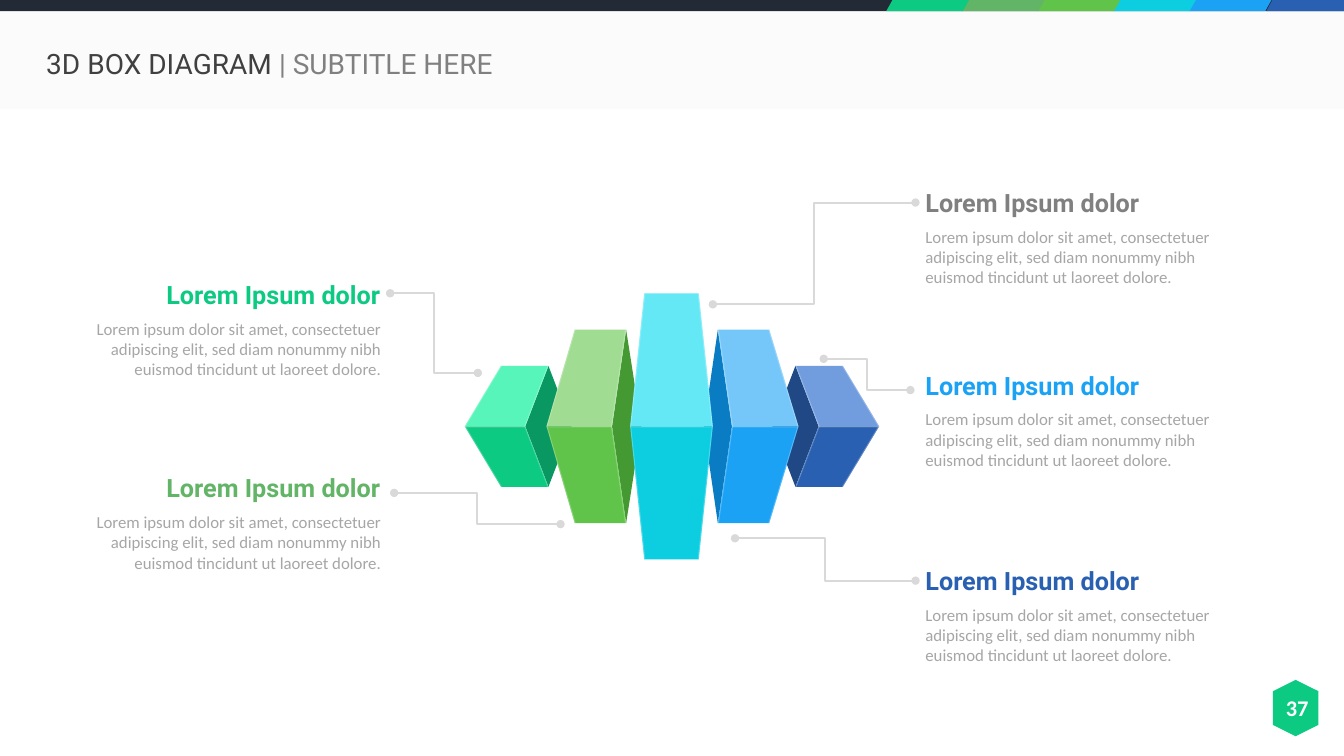
from dataclasses import dataclass

from lxml import etree
from pptx import Presentation
from pptx import util as u
from pptx.dml import color
from pptx.enum import shapes, text
from pptx.oxml import ns

BODY = ("Lorem ipsum dolor sit amet, consectetuer adipiscing elit, "
        "sed diam nonummy nibh euismod tincidunt ut laoreet dolore.")
HORIZON = 4.23
GLINT = 0.01
STRIPE_STEP = 0.75

Point = tuple[float, float]


@dataclass
class Box:
    outer: float
    inner: float
    back_outer: float
    back_inner: float
    rise: float
    top: str
    front: str
    side: str = ""
    far: float = 0


@dataclass
class Callout:
    top: float
    title_color: str
    on_left: bool
    label_end: Point
    box_end: Point


BOXES = [
    Box(4.61, 5.21, 4.97, 5.44, 0.6, "57F5B9", "0CCA82", "099862", 5.67),
    Box(5.42, 6.07, 5.7, 6.21, 0.96, "A0DC92", "61C44A", "459932", 6.36),
    Box(8.72, 8.12, 8.36, 7.89, 0.6, "719DDE", "2960B1", "1F4885", 7.66),
    Box(7.92, 7.26, 7.63, 7.12, 0.96, "76C7F9", "1BA2F5", "097CC3", 6.98),
    Box(6.25, 7.07, 6.39, 6.93, 1.32, "65E8F6", "0DCDE1"),
]

CALLOUTS = [
    Callout(2.72, "0CCA82", True, (3.87, 2.91), (4.74, 3.7)),
    Callout(4.64, "62B466", True, (3.91, 4.89), (5.56, 5.2)),
    Callout(1.81, "808080", False, (9.08, 2.01), (7.07, 3.02)),
    Callout(5.56, "2960B1", False, (9.08, 5.76), (7.29, 5.34)),
    Callout(3.62, "1BA2F5", False, (9.03, 3.87), (8.17, 3.56)),
]

STRIPES = ["0CCA82", "62B466", "61C44A", "0DCDE1", "1BA2F5"]


def rgb(value: str) -> color.RGBColor:
    return color.RGBColor.from_string(value)


def paint(shape, fill: str, opacity: int = 100) -> None:
    shape.shadow.inherit = False
    shape.fill.solid()
    shape.fill.fore_color.rgb = rgb(fill)
    shape.line.fill.background()
    if opacity < 100:
        tone = shape._element.spPr.find(".//" + ns.qn("a:srgbClr"))
        etree.SubElement(tone, ns.qn("a:alpha")).set("val", str(opacity * 1000))


def add_preset(slide, kind, left: float, top: float, width: float, height: float,
               fill: str, opacity: int = 100):
    shape = slide.shapes.add_shape(kind, *map(u.Inches, (left, top, width, height)))
    paint(shape, fill, opacity)
    return shape


def add_polygon(slide, points: list[Point], fill: str, opacity: int = 100) -> None:
    corners = [(u.Inches(x), u.Inches(y)) for x, y in points]
    builder = slide.shapes.build_freeform(*corners[0])
    builder.add_line_segments(corners[1:], close=True)
    paint(builder.convert_to_shape(), fill, opacity)


def add_text(slide, runs: list[tuple[str, str]], left: float, top: float,
             width: float, height: float, *, size: float, font: str = "Roboto",
             bold: bool = False, align=text.PP_ALIGN.LEFT,
             anchor=text.MSO_ANCHOR.TOP, spacing: float = 1.0) -> None:
    frame = slide.shapes.add_textbox(*map(u.Inches, (left, top, width, height))).text_frame
    frame.word_wrap = True
    frame.vertical_anchor = anchor
    paragraph = frame.paragraphs[0]
    paragraph.alignment = align
    paragraph.line_spacing = spacing
    for words, tone in runs:
        run = paragraph.add_run()
        run.text = words
        run.font.name = font
        run.font.size = u.Pt(size)
        run.font.bold = bold
        run.font.color.rgb = rgb(tone)


def add_leader(slide, start: Point, end: Point) -> None:
    leader = slide.shapes.add_connector(
        shapes.MSO_CONNECTOR.ELBOW, *map(u.Inches, (*start, *end)))
    leader.line.color.rgb = rgb("D9D9D9")
    leader.line.width = u.Pt(1.5)
    outline = leader.line._get_or_add_ln()
    for tip in ("a:headEnd", "a:tailEnd"):
        etree.SubElement(outline, ns.qn(tip)).set("type", "oval")
    etree.SubElement(leader._element.spPr, ns.qn("a:effectLst"))


def add_box(slide, box: Box) -> None:
    ceiling, floor = HORIZON - box.rise, HORIZON + box.rise
    if box.side:
        add_polygon(slide, [(box.inner, HORIZON), (box.back_inner, ceiling),
                            (box.far, HORIZON), (box.back_inner, floor)], box.side)
    for level, fill in ((ceiling, box.top), (floor, box.front)):
        add_polygon(slide, [(box.inner, HORIZON), (box.back_inner, level),
                            (box.back_outer, level), (box.outer, HORIZON)], fill)
    add_polygon(slide, [(box.outer, HORIZON), (box.inner, HORIZON),
                        (box.inner, HORIZON + GLINT), (box.outer, HORIZON + GLINT)],
                "FFFFFF", 25)
    inward = GLINT if box.inner > box.outer else -GLINT
    for edge, back, shift in ((box.outer, box.back_outer, inward),
                              (box.inner, box.back_inner, -inward)):
        add_polygon(slide, [(edge, HORIZON), (back, ceiling), (back + shift, ceiling),
                            (edge + shift, HORIZON), (back + shift, floor),
                            (back, floor)], "FFFFFF", 25)


def add_callout(slide, callout: Callout) -> None:
    title_left, body_left = (0.55, 0.71) if callout.on_left else (9.08, 9.08)
    align = text.PP_ALIGN.RIGHT if callout.on_left else text.PP_ALIGN.LEFT
    add_text(slide, [(BODY, "A6A6A6")], body_left, callout.top + 0.39, 3.17, 0.71,
             size=12, font="Calibri", align=align)
    add_text(slide, [("Lorem Ipsum dolor", callout.title_color)], title_left,
             callout.top, 3.32, 0.4, size=18, bold=True, align=align)
    add_leader(slide, callout.box_end, callout.label_end)


def add_frame(slide) -> None:
    preset = shapes.MSO_SHAPE
    add_preset(slide, preset.RECTANGLE, 0, 0.11, 13.33, 0.97, "F2F2F2", 29)
    add_preset(slide, preset.RECTANGLE, 0, 0, 13.33, 0.11, "222A35")
    for index, fill in reversed(list(enumerate(STRIPES))):
        stripe = add_preset(slide, preset.PARALLELOGRAM, 8.79 + index * STRIPE_STEP, 0,
                            0.82, 0.11, fill)
        stripe.adjustments[0] = 0.56
    add_polygon(slide, [(12.62, 0), (13.33, 0), (13.33, 0.11), (12.56, 0.11)], "2960B1")
    badge = add_preset(slide, preset.HEXAGON, 12.57, 6.8, 0.56, 0.45, "0CCA82")
    badge.rotation = 90
    add_text(slide, [("37", "FFFFFF")], 12.56, 6.84, 0.61, 0.37, size=16,
             font="Calibri", bold=True, align=text.PP_ALIGN.CENTER)
    add_text(slide, [("3D BOX DIAGRAM ", "404040"), ("| SUBTITLE HERE", "808080")],
             0.36, 0.37, 7.42, 0.55, size=20, anchor=text.MSO_ANCHOR.MIDDLE, spacing=0.9)


def main() -> None:
    deck = Presentation()
    deck.slide_width = u.Inches(13.33)
    deck.slide_height = u.Inches(7.5)
    slide = deck.slides.add_slide(deck.slide_layouts[6])
    add_frame(slide)
    for box in BOXES:
        add_box(slide, box)
    for callout in CALLOUTS:
        add_callout(slide, callout)
    deck.save("out.pptx")


if __name__ == "__main__":
    main()
